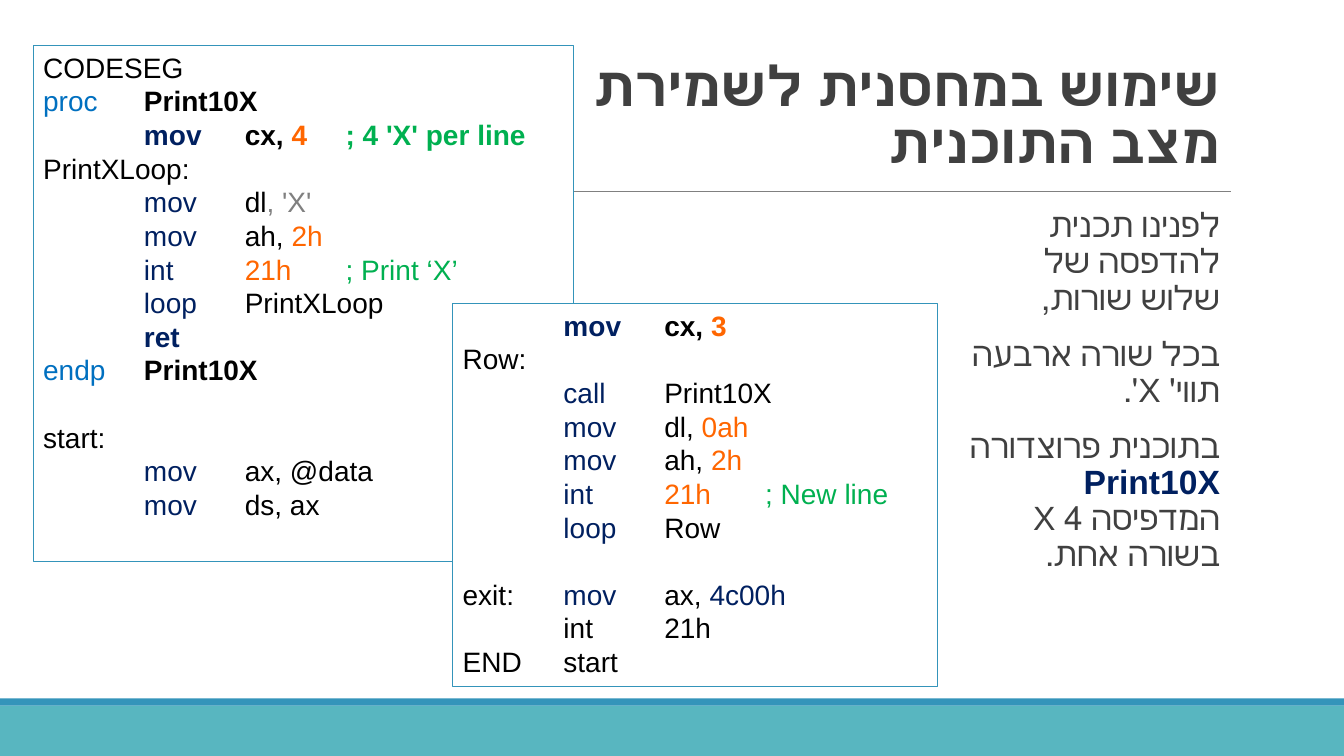
from lxml import etree
from pptx import Presentation
from pptx.dml.color import RGBColor
from pptx.enum.shapes import MSO_CONNECTOR, MSO_SHAPE
from pptx.enum.text import MSO_ANCHOR, PP_ALIGN
from pptx.oxml.ns import qn
from pptx.util import Inches, Pt

RECT, STRAIGHT = MSO_SHAPE.RECTANGLE, MSO_CONNECTOR.STRAIGHT
TOP, BOTTOM = MSO_ANCHOR.TOP, MSO_ANCHOR.BOTTOM
LEFT, RIGHT = PP_ALIGN.LEFT, PP_ALIGN.RIGHT
W, H = 13.33, 7.5
FONT = "Arial"

COLORS = {
    "plain": "000000", "op": "002060", "directive": "0070C0", "number": "FF6600",
    "comment": "00B050", "char": "808080", "prose": "404040", "rule": "808080",
    "white": "FFFFFF", "band": "58B6C0", "accent": "3494BA",
}

# A run is (text, colour name) or (text, colour name, bold).
TITLE = [[("שימוש במחסנית לשמירת מצב התוכנית", "prose", True)]]
BODY = [
    [("לפנינו תכנית להדפסה של שלוש שורות, ", "prose")],
    [("בכל שורה ארבעה תווי' X'.", "prose")],
    [("בתוכנית פרוצדורה ", "prose"), ("Print10X ", "op", True),
     ("המדפיסה 4 X בשורה אחת.", "prose")],
]
PROCEDURE = [
    [("CODESEG", "plain")],
    [("proc \t", "directive"), ("Print10X", "plain", True)],
    [("\tmov", "op", True), (" \tcx, ", "plain", True), ("4\t", "number", True),
     ("; 4 'X' per line", "comment", True)],
    [("PrintXLoop:", "plain")],
    [("\tmov", "op"), ("\tdl", "plain"), (", 'X'", "char")],
    [("\tmov", "op"), ("\tah, ", "plain"), ("2h", "number")],
    [("\tint\t", "op"), ("21h\t", "number"), ("; Print ‘X’", "comment")],
    [("\tloop \t", "op"), ("PrintXLoop", "plain")],
    [("\tret", "op", True)],
    [("endp \t", "directive"), ("Print10X", "plain", True)],
    [],
    [("start:", "plain")],
    [("\tmov", "op"), ("\tax, @data", "plain")],
    [("\tmov", "op"), ("\tds, ax", "plain")],
]
MAIN_LOOP = [
    [("\tmov", "op", True), ("\tcx, ", "plain", True), ("3", "number", True)],
    [("Row:", "plain")],
    [("\tcall", "op"), (" \tPrint10X", "plain")],
    [("\tmov", "op"), ("\tdl, ", "plain"), ("0ah", "number")],
    [("\tmov", "op"), ("\tah, ", "plain"), ("2h", "number")],
    [("\tint\t", "op"), ("21h\t", "number"), ("; New line", "comment")],
    [("\tloop \t", "op"), ("Row", "plain")],
    [],
    [("exit:\t", "plain"), ("mov", "op"), ("\tax, ", "plain"), ("4c00h", "op")],
    [("\tint\t21h", "plain")],
    [("END\tstart", "plain")],
]

# left, top, width, height in inches
TITLE_BOX = (5.49, 0.72, 6.71, 1.06)
BODY_BOX = (9.61, 2.02, 2.59, 4.27)
CODE_BOXES = [(PROCEDURE, (0.33, 0.45, 5.36, 5.12)),
              (MAIN_LOOP, (4.49, 3.01, 4.81, 3.8))]
BANDS = [("band", 7, 0.5), ("accent", 6.93, 0.07)]
RULE_LEFT, RULE_RIGHT, RULE_TOP = 1.31, 12.21, 1.9
TAB_STOPS = (1, 2, 3, 4)


def rgb(name):
    return RGBColor.from_string(COLORS[name])


def add_rect(s, box, fill, line=None):
    shape = s.shapes.add_shape(RECT, *map(Inches, box))
    shape.shadow.inherit = False
    shape.fill.solid()
    shape.fill.fore_color.rgb = rgb(fill)
    if line:
        shape.line.color.rgb = rgb(line)
        shape.line.width = Pt(0.75)
    else:
        shape.line.fill.background()
    return shape


def write(shape, paragraphs, size, anchor=TOP, rtl=False, spacing=None,
          before=0, after=0, side=0.1, tracking=0, indent=0, tabs=()):
    tf = shape.text_frame
    tf.word_wrap = True
    tf.vertical_anchor = anchor
    tf.margin_left = tf.margin_right = Inches(side)
    for i, runs in enumerate(paragraphs):
        p = tf.paragraphs[0] if i == 0 else tf.add_paragraph()
        p.alignment = RIGHT if rtl else LEFT
        p.space_before, p.space_after = Pt(before), Pt(after)
        if spacing:
            p.line_spacing = spacing
        pPr = p._p.get_or_add_pPr()
        pPr.set("marL", str(Inches(indent)))
        if rtl:
            pPr.set("rtl", "1")
        if tabs:
            stops = etree.SubElement(pPr, qn("a:tabLst"))
            for stop in tabs:
                etree.SubElement(stops, qn("a:tab"), pos=str(Inches(stop)), algn="l")
        if not runs:
            end = etree.SubElement(p._p, qn("a:endParaRPr"), sz=str(size * 100))
            etree.SubElement(end, qn("a:latin"), typeface=FONT)
        for text, color, *bold in runs:
            r = p.add_run()
            r.text = text
            r.font.size, r.font.name = Pt(size), FONT
            r.font.bold = bool(bold)
            r.font.color.rgb = rgb(color)
            if tracking:
                r._r.get_or_add_rPr().set("spc", str(int(tracking * 100)))


def add_rule(s):
    rule = s.shapes.add_connector(STRAIGHT, Inches(RULE_LEFT), Inches(RULE_TOP),
                                  Inches(RULE_RIGHT), Inches(RULE_TOP))
    rule.line.color.rgb = rgb("rule")
    rule.line.width = Pt(0.5)
    etree.SubElement(rule._element.spPr, qn("a:effectLst"))


def main():
    prs = Presentation()
    prs.slide_width, prs.slide_height = Inches(W), Inches(H)
    s = prs.slides.add_slide(prs.slide_layouts[6])
    for color, top, height in BANDS:
        add_rect(s, (0, top, W, height), color)
    add_rule(s)
    write(s.shapes.add_textbox(*map(Inches, TITLE_BOX)), TITLE, 39.6,
          anchor=BOTTOM, rtl=True, spacing=0.85, tracking=-0.5)
    write(s.shapes.add_textbox(*map(Inches, BODY_BOX)), BODY, 24, rtl=True,
          spacing=0.9, before=12, after=2, side=0, indent=0.1)
    for code, box in CODE_BOXES:
        write(add_rect(s, box, "white", "accent"), code, 20, tabs=TAB_STOPS)
    prs.save("out.pptx")


if __name__ == "__main__":
    main()
